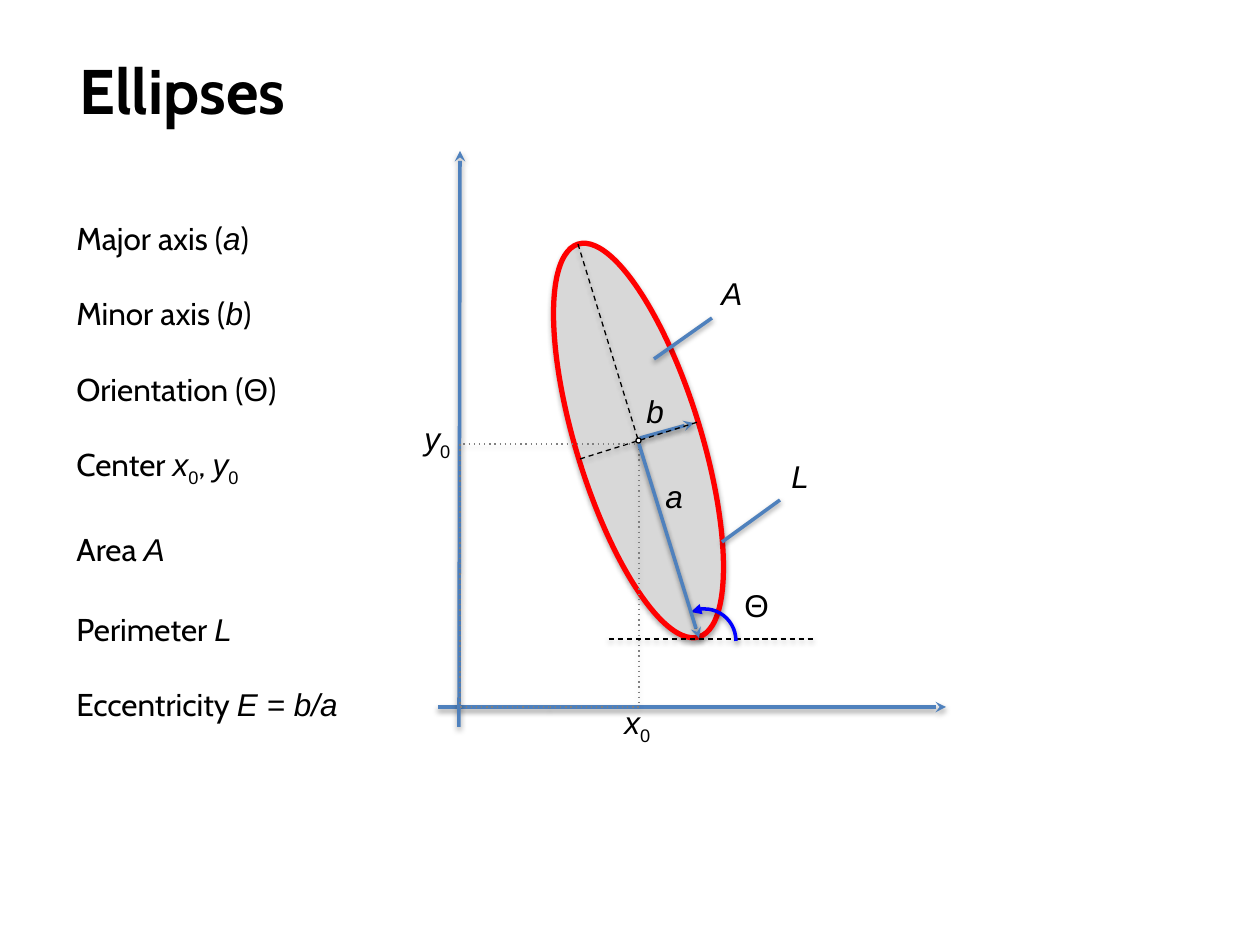
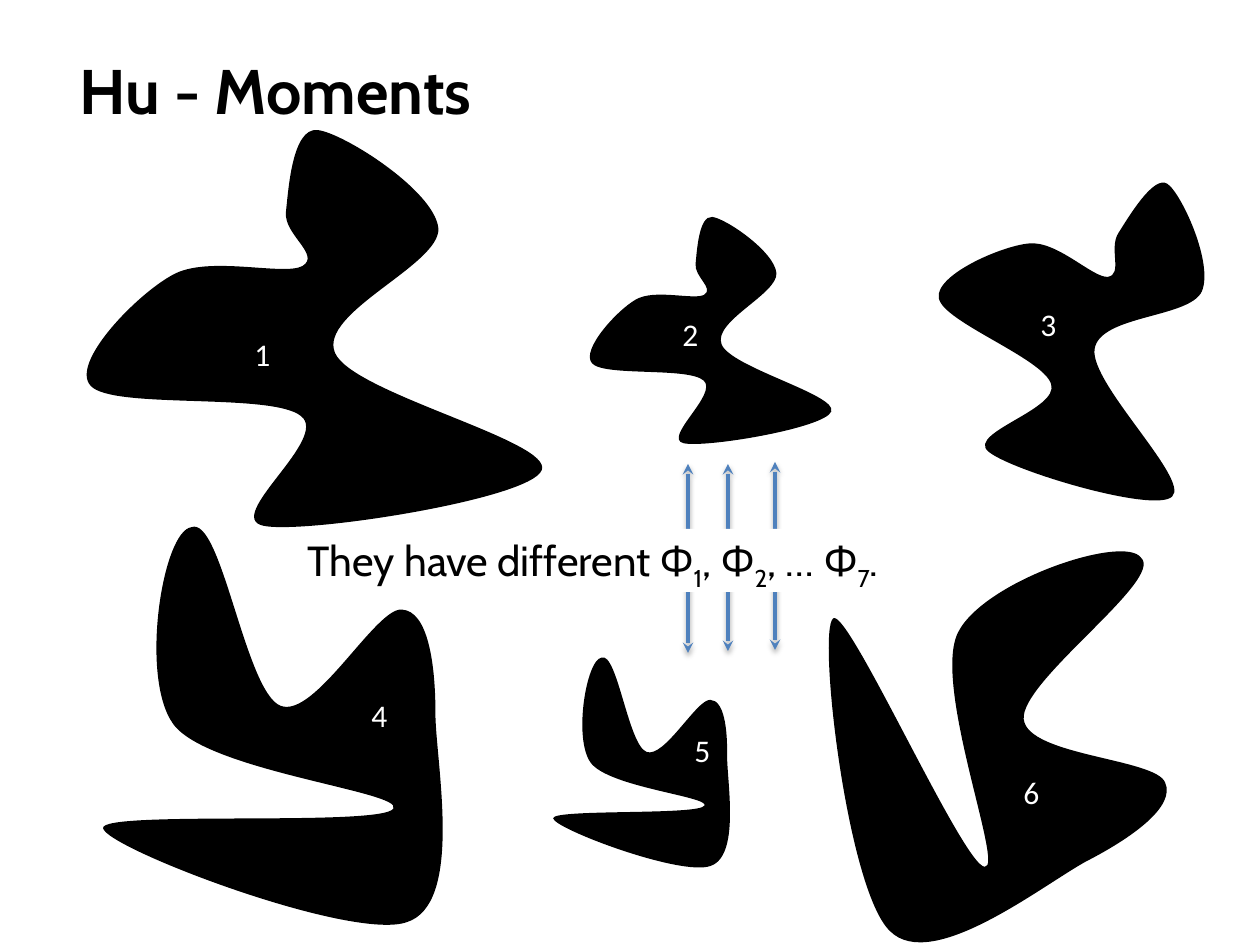
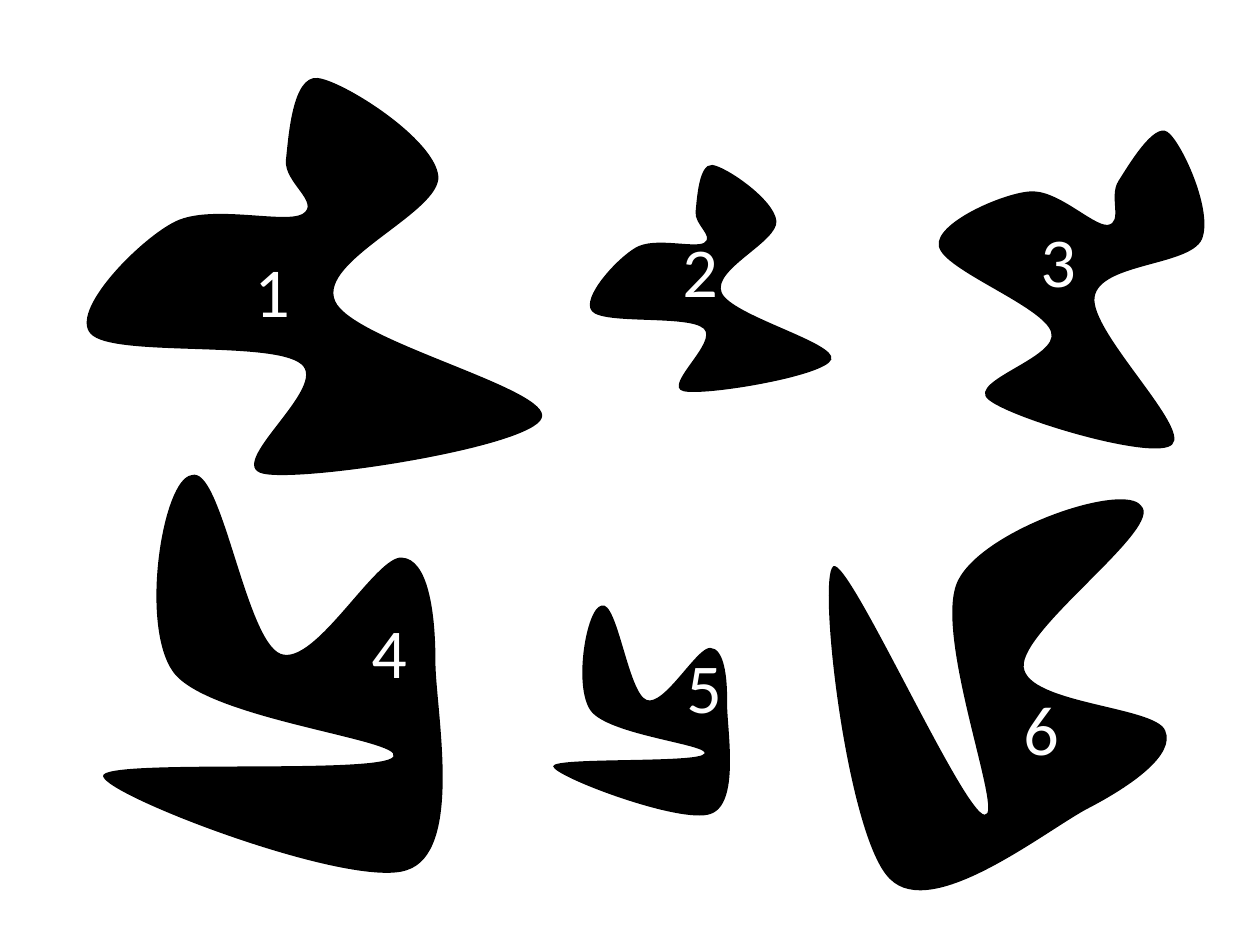
from lxml import etree
from pptx import Presentation
from pptx import util as u
from pptx.dml.color import RGBColor
from pptx.enum import shapes, text
from pptx.oxml import ns

PX = 914400 / 126
BLACK, WHITE, BLUE = "000000", "FFFFFF", "4F81BD"
VARIABLE = {"font": "Arial", "italic": True}
GREEK = {"font": "Arial"}
INDEX = {"font": "Arial", "subscript": True}
SUBSCRIPT = {"subscript": True}

# Each outline: frame size, starting point, then cubic curves of three points.
BIRD = (362, 315), (158, 65), [
    [(160, 47), (163, -2), (183, 0)],
    [(203, 2), (276, 48), (279, 78)],
    [(281, 107), (183, 145), (197, 177)],
    [(211, 209), (371, 247), (361, 270)],
    [(352, 293), (172, 321), (140, 314)],
    [(108, 307), (193, 245), (170, 227)],
    [(147, 208), (20, 222), (3, 203)],
    [(-14, 185), (40, 130), (68, 115)],
    [(96, 99), (156, 116), (171, 108)],
    [(186, 99), (156, 83), (158, 65)],
]
CLAW = (310, 268), (133, 114), [
    [(162, 111), (164, 10), (183, 2)],
    [(202, -7), (227, 28), (246, 65)],
    [(266, 101), (334, 187), (301, 220)],
    [(269, 254), (62, 278), (53, 265)],
    [(45, 253), (249, 162), (250, 145)],
    [(252, 129), (105, 187), (64, 166)],
    [(23, 145), (-14, 34), (5, 21)],
    [(22, 2), (103, 117), (133, 114)],
]

# Outline, frame, rotation, and the corner of the number's box.
FIGURES = [
    (BIRD, (87, 130, 456, 397), 0, (242, 329)),
    (BIRD, (590, 217, 242, 227), 0, (670, 309)),
    (BIRD, (941, 165, 302, 321), 27.5, (1028, 299)),
    (CLAW, (98, 572, 391, 338), 27.5, (359, 690)),
    (CLAW, (552, 680, 202, 181), 27.5, (682, 725)),
    (CLAW, (803, 578, 391, 338), 90, (1011, 767)),
]


def px(value):
    return u.Emu(round(value * PX))


def color(hex_code):
    return RGBColor.from_string(hex_code)


def add_element(parent, tag, **attributes):
    element = etree.SubElement(parent, ns.qn(tag))
    for name, value in attributes.items():
        element.set(name, str(value))
    return element


def write(frame, paragraphs, size=18, font="Cabin", ink=BLACK, bold=False, gaps=()):
    """Fill a text frame; a paragraph is a list of strings and (string, format) pairs."""
    for index, runs in enumerate(paragraphs):
        paragraph = frame.add_paragraph() if index else frame.paragraphs[0]
        paragraph.alignment = text.PP_ALIGN.LEFT
        if index and gaps:
            paragraph.space_before = u.Pt(gaps[index - 1])
        for item in runs:
            content, style = (item, {}) if isinstance(item, str) else item
            run = paragraph.add_run()
            run.text = content
            run.font.size = u.Pt(size)
            run.font.name = style.get("font", font)
            run.font.bold = bold
            run.font.italic = style.get("italic", False)
            run.font.color.rgb = color(ink)
            if style.get("subscript"):
                run._r.get_or_add_rPr().set("baseline", "-25000")


def stroke(shape, ink, width, dash=None, head=None, tail=None):
    shape.line.color.rgb = color(ink)
    shape.line.width = u.Pt(width)
    line = shape.line._get_or_add_ln()
    if dash:
        add_element(line, "a:prstDash", val=dash)
    if head:
        add_element(line, "a:headEnd", type=head)
    if tail:
        add_element(line, "a:tailEnd", type=tail)


def cast_shadow(shape, opacity, distance):
    properties = shape.element.spPr
    effects = properties.find(ns.qn("a:effectLst"))
    if effects is None:
        effects = add_element(properties, "a:effectLst")
    shadow = add_element(effects, "a:outerShdw", blurRad=u.Pt(3.1), dist=u.Pt(distance),
                         dir=5400000, rotWithShape=0)
    ink = add_element(shadow, "a:srgbClr", val=BLACK)
    add_element(ink, "a:alpha", val=opacity * 1000)


class Deck:
    def __init__(self):
        self.presentation = Presentation()
        self.presentation.slide_width = px(1260)
        self.presentation.slide_height = px(945)
        self.slide = None

    def new_slide(self):
        self.slide = self.presentation.slides.add_slide(self.presentation.slide_layouts[6])

    def label(self, box, runs, **style):
        shape = self.slide.shapes.add_textbox(*map(px, box))
        shape.text_frame.word_wrap = False
        write(shape.text_frame, [runs], **style)

    def title(self, content, width):
        self.label((67, 45, width, 90), [content], size=36, bold=True)

    def shape(self, kind, box, fill=None, line=None, rotation=0):
        """Add a preset shape; line holds the arguments of stroke."""
        shape = self.slide.shapes.add_shape(kind, *map(px, box))
        shape.rotation = rotation
        shape.shadow.inherit = False
        if fill:
            shape.fill.solid()
            shape.fill.fore_color.rgb = color(fill)
        else:
            shape.fill.background()
        if line:
            stroke(shape, **line)
            cast_shadow(shape, 35, 1.8)
        else:
            shape.line.fill.background()
        return shape

    def text_panel(self, box, paragraphs, top_inset=6, **style):
        frame = self.shape(shapes.MSO_SHAPE.RECTANGLE, box, fill=WHITE).text_frame
        frame.word_wrap = True
        frame.vertical_anchor = text.MSO_ANCHOR.TOP
        frame.margin_top = px(top_inset)
        write(frame, paragraphs, **style)

    def line(self, start, end, ink=BLUE, width=2, **ends):
        connector = self.slide.shapes.add_connector(
            shapes.MSO_CONNECTOR.STRAIGHT, *map(px, start + end))
        stroke(connector, ink, width, **ends)
        cast_shadow(connector, 37, 1.6)

    def figure(self, outline, box, rotation):
        """Draw a curved black outline stretched to the box."""
        (width, height), start, curves = outline
        left, top, box_width, box_height = map(px, box)
        builder = self.slide.shapes.build_freeform(
            0, 0, scale=(box_width / width, box_height / height))
        builder.add_line_segments([(width, 0), (width, height), (0, height)])
        shape = builder.convert_to_shape(left, top)
        geometry = next(shape.element.iter(ns.qn("a:path")))
        for child in list(geometry):
            geometry.remove(child)
        for tag, points in [("a:moveTo", [start])] + [("a:cubicBezTo", c) for c in curves]:
            segment = add_element(geometry, tag)
            for x, y in points:
                add_element(segment, "a:pt", x=x, y=y)
        add_element(geometry, "a:close")
        shape.rotation = rotation
        shape.shadow.inherit = False
        shape.fill.solid()
        shape.fill.fore_color.rgb = color(BLACK)
        shape.line.fill.background()

    def figures(self, rise=0):
        for outline, (left, top, width, height), rotation, _ in FIGURES:
            self.figure(outline, (left, top - rise, width, height), rotation)

    def numbers(self, size, width, height, rise=0, shifts=None):
        for number, (*_, (left, top)) in enumerate(FIGURES, 1):
            left += (shifts or {}).get(number, 0)
            self.label((left, top - rise, width, height), [str(number)],
                       size=size, font="Calibri", ink=WHITE)


def ellipses(deck):
    deck.new_slide()
    deck.title("Ellipses", 247)
    kinds = shapes.MSO_SHAPE
    dashed = {"ink": BLACK, "width": 0.75, "dash": "dash"}
    deck.shape(kinds.OVAL, (433, 378, 411, 125), "D8D8D8",
               {"ink": "FF0000", "width": 3}, rotation=72.9)
    deck.line((640, 438), (694, 423), tail="stealth")
    deck.line((578, 244), (699, 638), **dashed)
    deck.line((580, 459), (698, 422), **dashed)
    deck.shape(kinds.OVAL, (636, 438, 5, 5), WHITE, {"ink": BLACK, "width": 0.75})
    deck.text_panel((64, 175, 323, 611), [
        ["Major axis (", ("a", VARIABLE), ")"],
        ["Minor axis (", ("b", VARIABLE), ")"],
        ["Orientation (", ("Θ", GREEK), ")"],
        ["Center ", ("x", VARIABLE), ("0", INDEX), ", ", ("y", VARIABLE), ("0", INDEX)],
        ["Area ", ("A", VARIABLE)],
        ["Perimeter ", ("L", VARIABLE)],
        ["Eccentricity ", ("E = b/a", VARIABLE)],
    ], top_inset=44, gaps=(21.5, 21.5, 21.5, 24, 24, 21.5))
    deck.line((438, 707), (946, 707), tail="stealth")
    deck.line((459, 727), (460, 151), tail="stealth")
    deck.shape(kinds.RECTANGLE, (460, 444, 179, 263),
               line={"ink": "7F7F7F", "width": 0.75, "dash": "dot"})
    deck.line((712, 318), (654, 359))
    deck.line((780, 500), (722, 542))
    deck.line((609, 639), (816, 639), **dashed)
    angle = deck.shape(kinds.ARC, (673, 609, 63, 64),
                       line={"ink": "0000FF", "width": 2, "head": "triangle"})
    angle.adjustments[0] = 146.94
    angle.adjustments[1] = 0
    deck.line((639, 444), (699, 638), tail="stealth")
    for left, top, width, runs in [
        (653, 471, 43, [("a", VARIABLE)]),
        (634, 386, 42, [("b", VARIABLE)]),
        (612, 697, 52, [("x", VARIABLE), ("0", INDEX)]),
        (412, 413, 54, [("y", VARIABLE), ("0", INDEX)]),
        (709, 268, 49, [("A", VARIABLE)]),
        (779, 451, 47, [("L", VARIABLE)]),
        (732, 580, 50, [("Θ", GREEK)]),
    ]:
        deck.label((left, top, width, 50), runs)


def hu_moments(deck):
    deck.new_slide()
    deck.title("Hu - Moments", 433)
    deck.figures()
    for x, top, bottom in [(688, 464, 653), (728, 464, 651), (775, 462, 650)]:
        deck.line((x, top), (x, bottom), head="stealth", tail="stealth")
    deck.text_panel((295, 529, 673, 63), [[
        "They have different Φ", ("1", SUBSCRIPT), ", Φ", ("2", SUBSCRIPT),
        ", … Φ", ("7", SUBSCRIPT), ".",
    ]], size=24)
    deck.numbers(18, 42, 50)


def numbered_figures(deck):
    deck.new_slide()
    deck.figures(rise=52)
    deck.numbers(40, 62, 97, rise=88, shifts={5: -8})


def main():
    deck = Deck()
    ellipses(deck)
    hu_moments(deck)
    numbered_figures(deck)
    deck.presentation.save("out.pptx")


if __name__ == "__main__":
    main()
